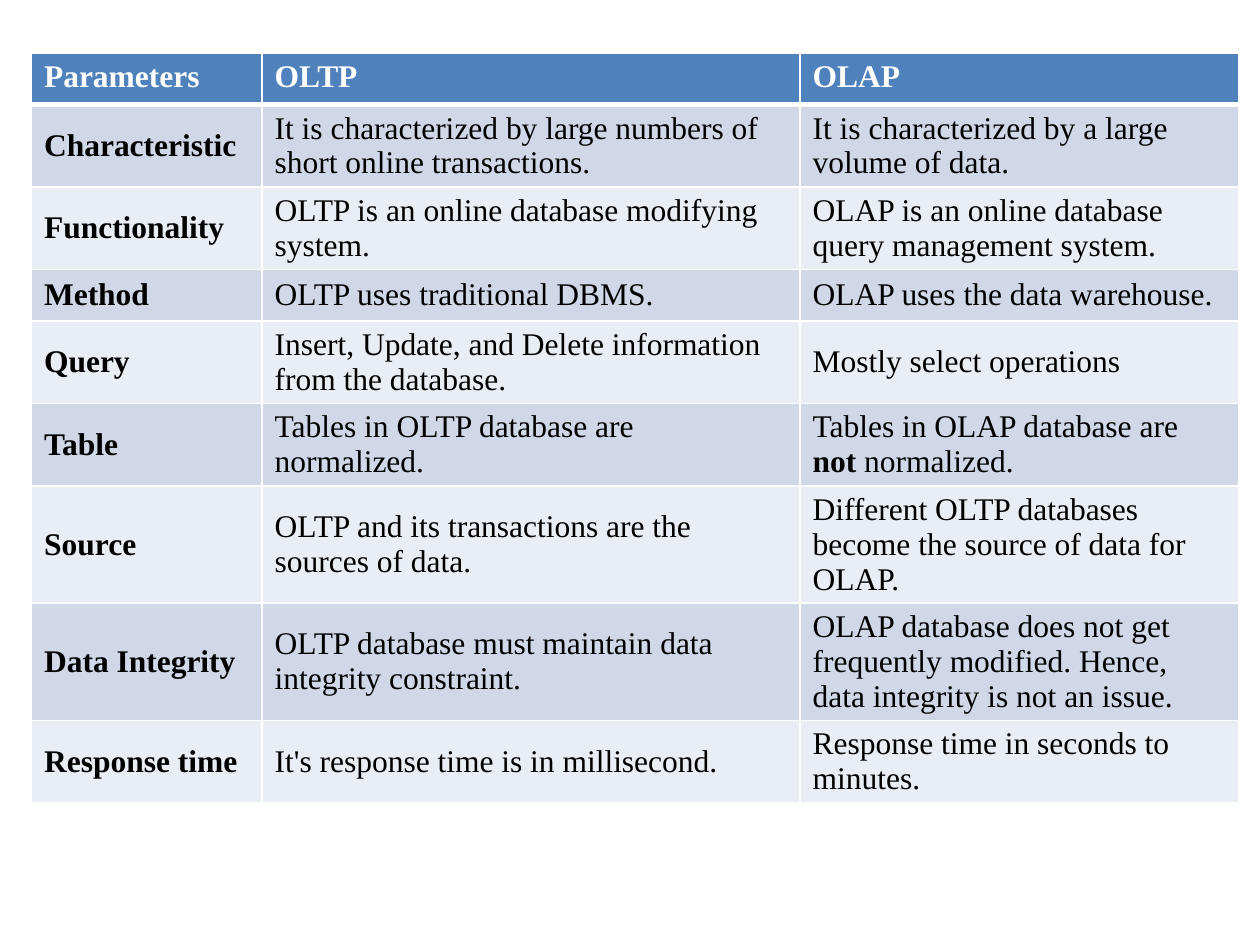
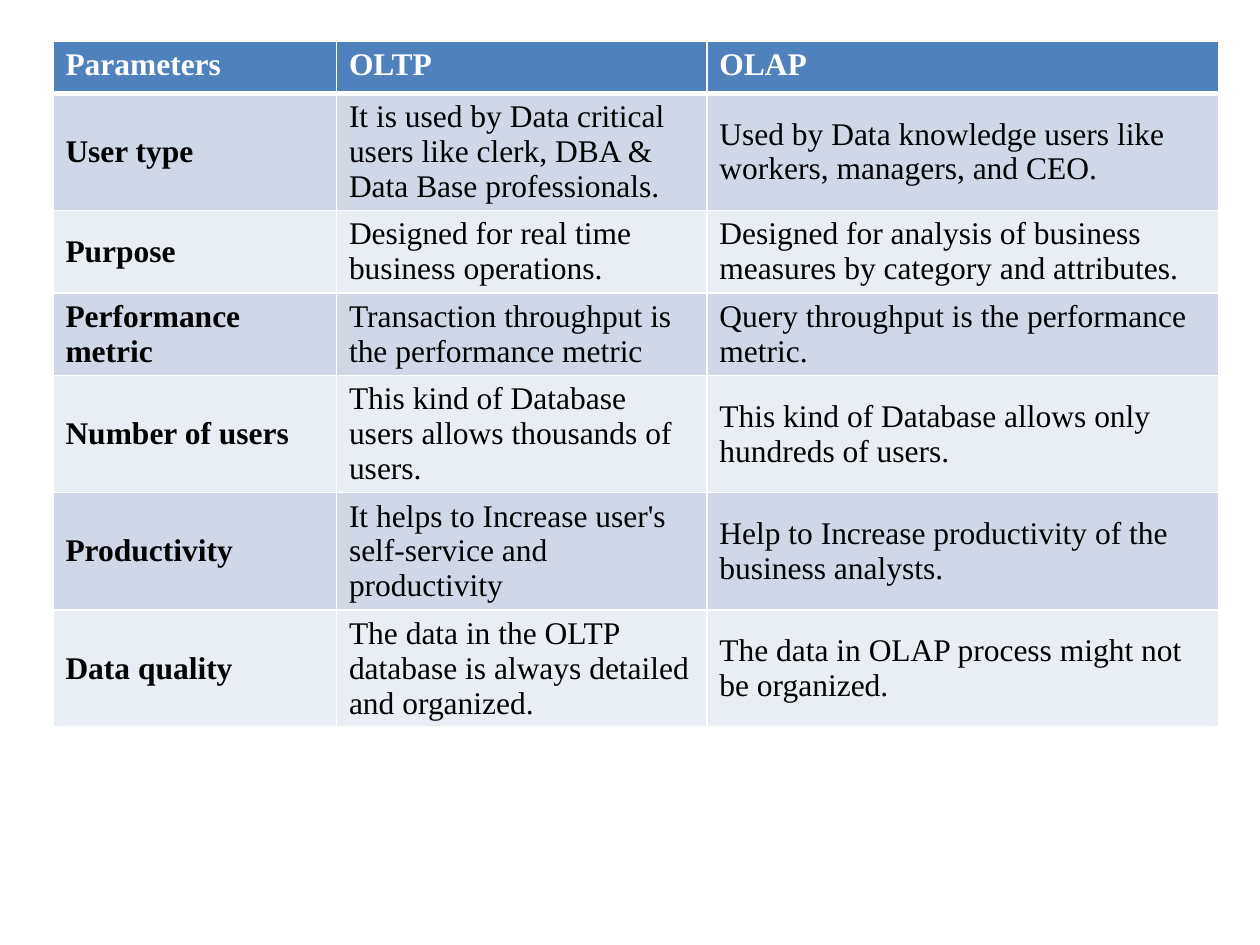
from lxml.etree import SubElement
from pptx import Presentation
from pptx.dml.color import RGBColor
from pptx.enum.text import MSO_ANCHOR as Anchor
from pptx.oxml.ns import qn
from pptx.util import Inches, Pt

HEADER = ("Parameters", "OLTP", "OLAP")
COMPARISONS = [
    {
        "place": (0.25, 0.42),
        "height": 6.31,
        "columns": (1.83, 4.27, 3.48),
        "rows": [
            ("Characteristic", "It is characterized by large numbers of short online transactions.",
             "It is characterized by a large volume of data."),
            ("Functionality", "OLTP is an online database modifying system.",
             "OLAP is an online database query management system."),
            ("Method", "OLTP uses traditional DBMS.", "OLAP uses the data warehouse."),
            ("Query", "Insert, Update, and Delete information from the database.",
             "Mostly select operations"),
            ("Table", "Tables in OLTP database are normalized.",
             "Tables in OLAP database are *not* normalized."),
            ("Source", "OLTP and its transactions are the sources of data.",
             "Different OLTP databases become the source of data for OLAP."),
            ("Data Integrity", "OLTP database must maintain data integrity constraint.",
             "OLAP database does not get frequently modified. Hence, data integrity is not an issue."),
            ("Response time", "It's response time is in millisecond.",
             "Response time in seconds to minutes."),
        ],
    },
    {
        "place": (0.42, 0.33),
        "height": 5.81,
        "columns": (2.25, 2.94, 4.06),
        "rows": [
            ("User type",
             "It is used by Data critical users like clerk, DBA & Data Base professionals.",
             "Used by Data knowledge users like workers, managers, and CEO."),
            ("Purpose", "Designed for real time business operations.",
             "Designed for analysis of business measures by category and attributes."),
            ("Performance metric", "Transaction throughput is the performance metric",
             "Query throughput is the performance metric."),
            ("Number of users", "This kind of Database users allows thousands of users.",
             "This kind of Database allows only hundreds of users."),
            ("Productivity", "It helps to Increase user's self-service and productivity",
             "Help to Increase productivity of the business analysts."),
            ("Data quality", "The data in the OLTP database is always detailed and organized.",
             "The data in OLAP process might not be organized."),
        ],
    },
]

FONT, TEXT_SIZE = "Times New Roman", 18
ROW_HEIGHT = 0.41
BLUE, WHITE, BLACK = "4F81BD", "FFFFFF", "000000"
BANDS = ("E9EDF4", "D0D8E8")
THIN, THICK = 1, 3


def color(value):
    return RGBColor.from_string(value)


def add_borders(cell, top, bottom):
    properties = cell._tc.get_or_add_tcPr()
    for side, width in (("L", THIN), ("R", THIN), ("T", top), ("B", bottom)):
        line = SubElement(properties, qn(f"a:ln{side}"), w=str(Pt(width)))
        fill = SubElement(line, qn("a:solidFill"))
        SubElement(fill, qn("a:srgbClr"), val=WHITE)


def write(cell, text, bold, text_color):
    paragraph = cell.text_frame.paragraphs[0]
    for index, part in enumerate(text.split("*")):
        run = paragraph.add_run()
        run.text = part
        run.font.name = FONT
        run.font.size = Pt(TEXT_SIZE)
        run.font.bold = bold or index % 2 == 1
        run.font.color.rgb = color(text_color)


def style_cell(cell, text, row, column):
    is_header = row == 0
    add_borders(cell, THICK if row == 1 else THIN, THICK if is_header else THIN)
    cell.fill.solid()
    cell.fill.fore_color.rgb = color(BLUE if is_header else BANDS[row % 2])
    cell.vertical_anchor = Anchor.TOP if is_header else Anchor.MIDDLE
    write(cell, text, is_header or column == 0, WHITE if is_header else BLACK)


def add_comparison(slide, comparison):
    rows = [HEADER, *comparison["rows"]]
    widths = comparison["columns"]
    left, top = comparison["place"]
    shape = slide.shapes.add_table(
        len(rows), len(widths), Inches(left), Inches(top),
        Inches(sum(widths)), Inches(ROW_HEIGHT * len(rows)))
    table = shape.table
    for column, width in zip(table.columns, widths):
        column.width = Inches(width)
    for row, texts in enumerate(rows):
        table.rows[row].height = Inches(ROW_HEIGHT)
        for column, text in enumerate(texts):
            style_cell(table.cell(row, column), text, row, column)
    shape.height = Inches(comparison["height"])


def main():
    presentation = Presentation()
    presentation.slide_width, presentation.slide_height = Inches(10), Inches(7.5)
    blank = presentation.slide_layouts[6]
    for comparison in COMPARISONS:
        add_comparison(presentation.slides.add_slide(blank), comparison)
    presentation.save("out.pptx")


if __name__ == "__main__":
    main()
